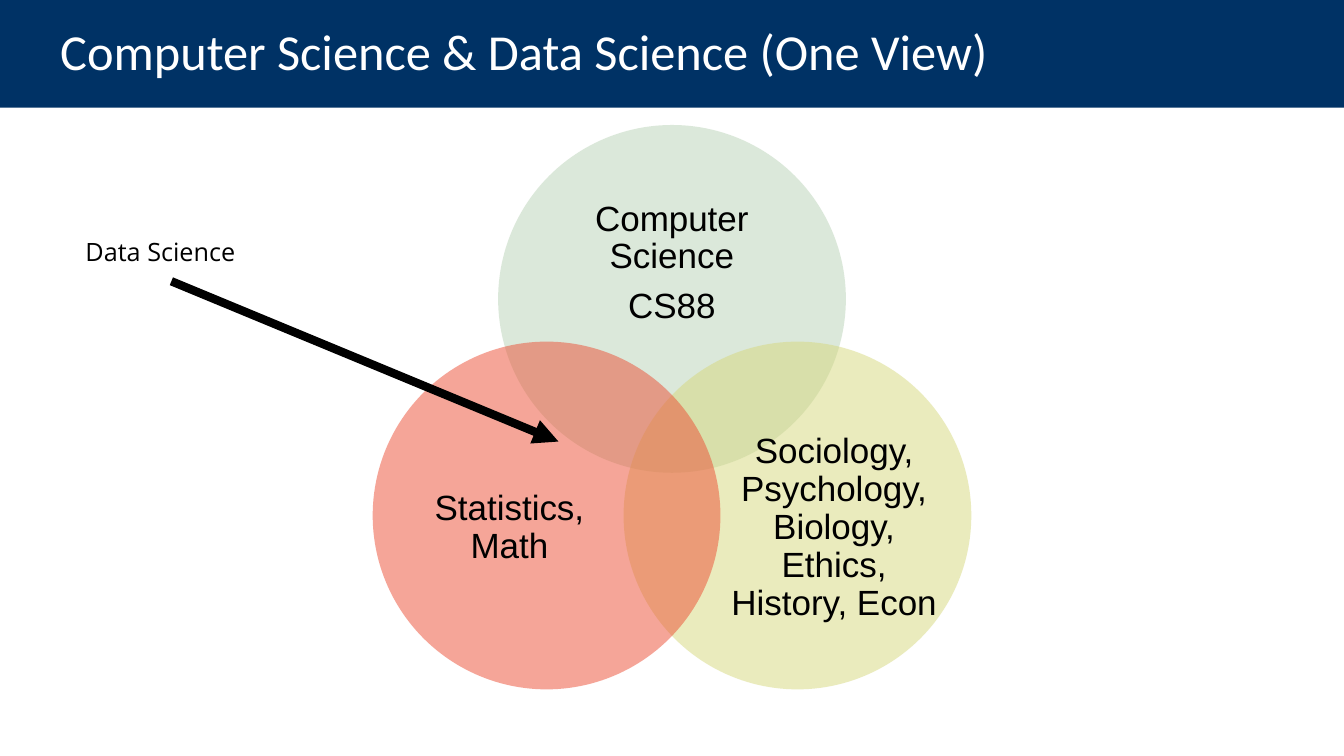
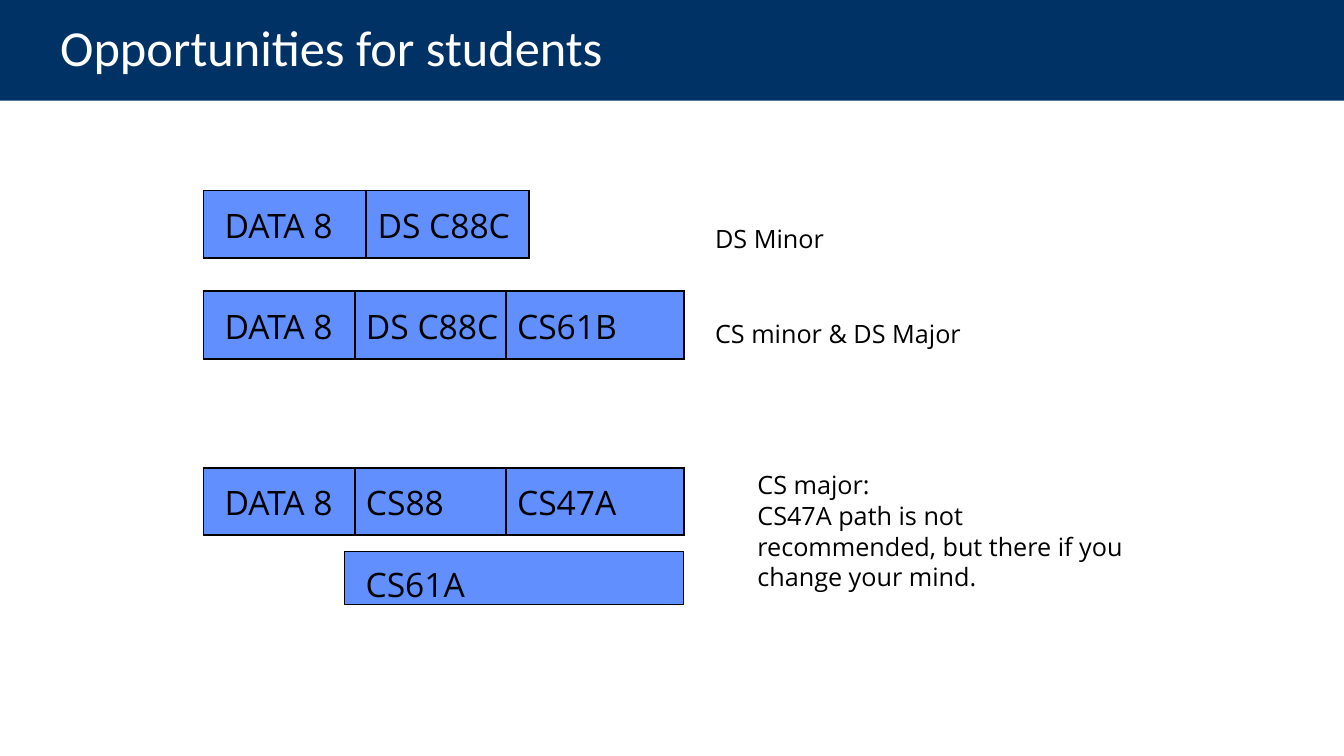
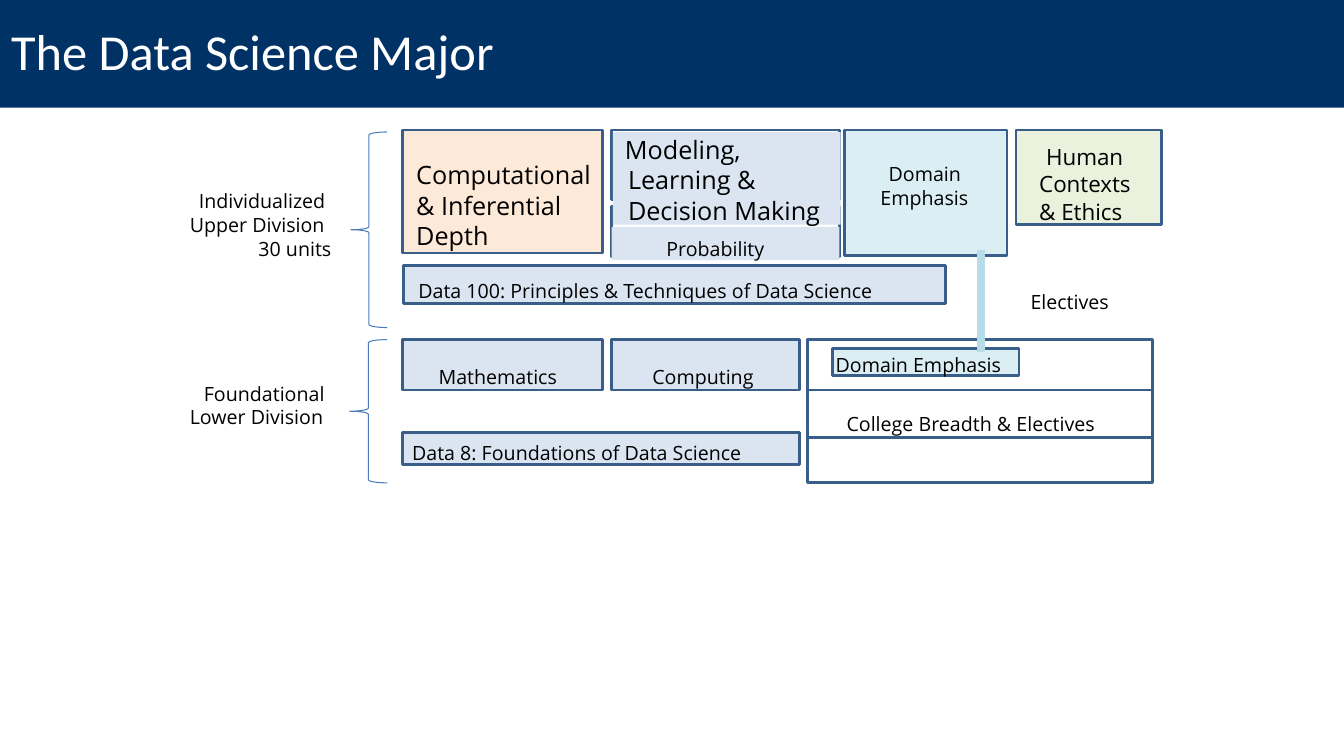
from dataclasses import dataclass

from lxml import etree
from pptx import Presentation
from pptx.dml.color import RGBColor
from pptx.enum.dml import MSO_LINE
from pptx.enum.shapes import MSO_CONNECTOR, MSO_SHAPE
from pptx.enum.text import MSO_ANCHOR, MSO_AUTO_SIZE, PP_ALIGN
from pptx.oxml.ns import qn
from pptx.util import Pt

RECTANGLE, OVAL, LEFT_BRACE = MSO_SHAPE.RECTANGLE, MSO_SHAPE.OVAL, MSO_SHAPE.LEFT_BRACE
STRAIGHT = MSO_CONNECTOR.STRAIGHT
SOLID = MSO_LINE.SOLID
TOP, MIDDLE = MSO_ANCHOR.TOP, MSO_ANCHOR.MIDDLE
LEFT, CENTER = PP_ALIGN.LEFT, PP_ALIGN.CENTER
GROW, FIXED = MSO_AUTO_SIZE.SHAPE_TO_FIT_TEXT, MSO_AUTO_SIZE.NONE


@dataclass(frozen=True)
class Theme:
    # Colours
    band: str = "003265"
    white: str = "FFFFFF"
    black: str = "000000"
    computing: str = "B9D3B6"
    society: str = "D6D87C"
    statistics: str = "EC4D33"
    course: str = "618FFD"
    outline: str = "395E89"
    brace: str = "4A7DBA"
    core: str = "DAE5F1"
    depth: str = "FDE9D8"
    domain: str = "DAEEF3"
    domain_link: str = "B6DDE7"
    ethics: str = "EAF1DD"
    # Fonts and type sizes
    title_font: str = "Calibri"
    body_font: str = "Open Sans"
    diagram_font: str = "Arial"
    title: float = 36
    diagram: float = 25
    course_name: float = 24
    body: float = 18
    medium: float = 16
    small: float = 14


THEME = Theme()
SLIDE_WIDTH, SLIDE_HEIGHT = 960, 540


def rgb(value):
    return RGBColor.from_string(value)


def points(values):
    return [Pt(value) for value in values]


def write_text(shape, paragraphs, size, insets=(0, 0, 0, 0), font=THEME.body_font,
               color=THEME.black, align=LEFT, anchor=TOP, spacing=None, before=0,
               first_indent=0, auto_size=GROW, wrap=True):
    """Write paragraphs; insets are left, top, right, bottom."""
    frame = shape.text_frame
    frame.word_wrap, frame.auto_size, frame.vertical_anchor = wrap, auto_size, anchor
    (frame.margin_left, frame.margin_top,
     frame.margin_right, frame.margin_bottom) = points(insets)
    for index, text in enumerate(paragraphs):
        paragraph = frame.paragraphs[0] if index == 0 else frame.add_paragraph()
        if index:
            paragraph.space_before = Pt(before)
        elif first_indent:
            set_indent(paragraph, max(0, -first_indent), first_indent)
        style_paragraph(paragraph, text, size, font, color, align, spacing)
    return frame


def set_indent(paragraph, margin, first_line):
    properties = paragraph._p.get_or_add_pPr()
    properties.set("marL", str(Pt(margin)))
    properties.set("indent", str(Pt(first_line)))


def style_paragraph(paragraph, text, size, font, color, align=LEFT, spacing=None):
    paragraph.text = text
    paragraph.alignment = align
    if spacing:
        paragraph.line_spacing = spacing
    paragraph.font.size = Pt(size)
    paragraph.font.name = font
    paragraph.font.color.rgb = rgb(color)


def add_figure(slide, kind, place, fill=None, line=None, width=2):
    shape = slide.shapes.add_shape(kind, *points(place))
    shape.shadow.inherit = False
    if fill:
        shape.fill.solid()
        shape.fill.fore_color.rgb = rgb(fill)
    else:
        shape.fill.background()
    if line:
        shape.line.color.rgb = rgb(line)
        shape.line.width = Pt(width)
    else:
        shape.line.fill.background()
    return shape


def add_box(slide, place, fill, text, size, insets, line=THEME.outline, width=2, **style):
    box = add_figure(slide, RECTANGLE, place, fill, line, width)
    write_text(box, [text], size, insets, **style)


def add_label(slide, place, paragraphs, size, insets=(1, 1, 0, 0), **style):
    label = slide.shapes.add_textbox(*points(place))
    return write_text(label, paragraphs, size, insets, **style)


def add_line(slide, start, end, color, arrow=False):
    connector = slide.shapes.add_connector(STRAIGHT, *points(start + end))
    connector.line.color.rgb = rgb(color)
    connector.line.width = Pt(6)
    connector.line.dash_style = SOLID
    if arrow:
        etree.SubElement(connector.line._get_or_add_ln(), qn("a:tailEnd"), type="triangle")
    etree.SubElement(connector._element.spPr, qn("a:effectLst"))


def add_circle(slide, center, radius, color):
    x, y = center
    circle = add_figure(slide, OVAL, (x - radius, y - radius, 2 * radius, 2 * radius), color)
    color_element = circle._element.spPr.find(qn("a:solidFill"))[0]
    etree.SubElement(color_element, qn("a:alpha"), val="50000")


def add_brace(slide, place):
    brace = add_figure(slide, LEFT_BRACE, place, line=THEME.brace, width=0.75)
    brace.adjustments[0] = 0.083


def border_cell(cell):
    properties = cell._tc.get_or_add_tcPr()
    for index, side in enumerate(("a:lnL", "a:lnR", "a:lnT", "a:lnB")):
        border = etree.Element(qn(side), w=str(Pt(1.5)))
        fill = etree.SubElement(border, qn("a:solidFill"))
        etree.SubElement(fill, qn("a:srgbClr"), val=THEME.black)
        properties.insert(index, border)


def add_course_row(slide, top, widths, courses):
    height = 48.2
    graphic = slide.shapes.add_table(1, len(courses),
                                     *points((145.4, top, sum(widths), height)))
    table = graphic.table
    table.first_row = table.horz_banding = False
    table.rows[0].height = Pt(height)
    for index, (width, course) in enumerate(zip(widths, courses)):
        table.columns[index].width = Pt(width)
        cell = table.cell(0, index)
        cell.fill.solid()
        cell.fill.fore_color.rgb = rgb(THEME.course)
        cell.margin_left = Pt(8 if index else 15)
        cell.margin_top, cell.margin_right, cell.margin_bottom = points((8.8, 0, 0))
        style_paragraph(cell.text_frame.paragraphs[0], course, THEME.course_name,
                        THEME.body_font, THEME.black)
        border_cell(cell)


def add_titled_slide(presentation, title, band_height=77, inset=43):
    slide = presentation.slides.add_slide(presentation.slide_layouts[6])
    band = add_figure(slide, RECTANGLE, (0, 0, SLIDE_WIDTH, band_height), THEME.band)
    write_text(band, [title], THEME.title, (inset, 3.6, 72, 3.6), THEME.title_font,
               THEME.white, anchor=MIDDLE, spacing=0.9, auto_size=FIXED)
    return slide


def build_venn(presentation):
    slide = add_titled_slide(presentation, "Computer Science & Data Science (One View)")
    # Overlapping fields: centre, colour, text area, text
    middle, spread, lower = SLIDE_WIDTH / 2, 89.6, 368.2
    fields = [
        ((middle, 213.5), THEME.computing, (388.8, 132.5, 182.2, 111.6),
         ["Computer Science", "CS88"]),
        ((middle + spread, lower), THEME.society, (521.3, 308.9, 149, 136.8),
         ["Sociology, Psychology, Biology, Ethics, History, Econ"]),
        ((middle - spread, lower), THEME.statistics, (289.4, 308.9, 149, 136.8),
         ["Statistics, Math"]),
    ]
    for center, color, place, paragraphs in fields:
        add_circle(slide, center, 124.2, color)
        add_label(slide, place, paragraphs, THEME.diagram, (0, 0, 0, 0),
                  font=THEME.diagram_font, align=CENTER, anchor=MIDDLE, spacing=0.9,
                  before=8.75, auto_size=FIXED)
    # Pointer to the shared area
    add_line(slide, (122.4, 200.9), (398.9, 315.4), THEME.black, arrow=True)
    add_label(slide, (54, 165, 122.4, 29), ["Data Science"], THEME.body,
              (7.2, 3.6, 7.2, 3.6), wrap=False)


def build_opportunities(presentation):
    slide = add_titled_slide(presentation, "Opportunities for students", band_height=72)
    # Course sequences
    three_courses = (108, 108, 127.4)
    add_course_row(slide, 136.1, (116.3, 116.3), ("DATA 8", "DS C88C"))
    add_course_row(slide, 208.1, three_courses, ("DATA 8", "DS C88C", "CS61B"))
    add_course_row(slide, 334.1, three_courses, ("DATA 8", "CS88", "CS47A"))
    add_box(slide, (246.2, 393.8, 242, 38.2), THEME.course, "CS61A", THEME.course_name,
            (15, 8.8, 0, 0), line=THEME.black, width=1)
    # Outcomes
    outcomes = [
        ((509.8, 158.4, 204.5, 23), ["DS Minor"]),
        ((509.8, 226.1, 204.5, 23), ["CS minor & DS Major"]),
        ((540, 334.1, 272.9, 89.3),
         ["CS major:",
          "CS47A path is not recommended, but there if you change your mind."]),
    ]
    for place, paragraphs in outcomes:
        add_label(slide, place, paragraphs, THEME.body, before=1)


def build_major(presentation):
    slide = add_titled_slide(presentation, "The Data Science Major", inset=8)
    first, second, third = 287.3, 437, 576.7
    upper, lower = 92.9, 242.6
    foundation_height, breadth_width = 102.3, 246.3

    # Open frames
    for place in [(second, 147.6, 162.5, 36), (second, upper, 162.5, 49.7),
                  (third, lower, breadth_width, foundation_height)]:
        add_figure(slide, RECTANGLE, place, line=THEME.outline)

    # Course areas: place, fill, text, size, insets
    areas = [
        ((first, lower, 143.3, 36), THEME.core, "Mathematics", THEME.small, (26, 19.4, 0, 0)),
        ((second, lower, 133.9, 36), THEME.core, "Computing", THEME.small, (29, 19.4, 0, 0)),
        ((first, 308.9, 283.7, 23), THEME.core, "Data 8: Foundations of Data Science",
         THEME.small, (7.2, 5.8, 0, 0)),
        ((288, 189.4, 387.4, 27.4), THEME.core,
         "Data 100: Principles & Techniques of Data Science", THEME.small, (10.8, 10, 0, 0)),
        ((third, 278.6, breadth_width, 33.8), None, "College Breadth & Electives",
         THEME.small, (28, 16, 0, 0)),
        ((594.7, 249.1, 133.2, 19.4), THEME.domain, "Domain Emphasis", THEME.small,
         (2.2, 2.9, 0, 0)),
    ]
    for area in areas:
        add_box(slide, *area)

    # Upper division areas, some with a shifted first line
    add_box(slide, (first, upper, 143.3, 87.8), THEME.depth,
            "Computational & Inferential Depth", THEME.body, (10, 21, 0, 0), spacing=1.01)
    add_box(slide, (603.4, upper, 115.9, 89.4), THEME.domain, "Domain Emphasis",
            THEME.small, (25.5, 23, 0, 0), spacing=1.01, first_indent=5.8)
    add_box(slide, (725.8, upper, 103.7, 67.7), THEME.ethics, "Human Contexts & Ethics",
            THEME.medium, (16.5, 9.4, 14, 0), spacing=1.01, first_indent=5)
    add_box(slide, (second, 162, 162.7, 23.8), THEME.core, "Probability", THEME.small,
            (39, 7.2, 0, 0), line=None)
    add_box(slide, (437.8, 94.3, 162.7, 66.2), THEME.core,
            "Modeling, Learning & Decision Making", THEME.body, (8.6, 1.4, 0, 0),
            line=None, spacing=1.01, first_indent=-2.2)

    # Division labels and braces
    individualized = add_label(slide, (134.6, 133.9, 109.4, 51.8),
                               ["Individualized Upper Division", "30 units"], THEME.small,
                               spacing=1.01, first_indent=6.5)
    set_indent(individualized.paragraphs[1], 49, 0)
    add_label(slide, (134.6, 271.4, 108.7, 34.6), ["Foundational Lower Division"],
              THEME.small, spacing=1.01, first_indent=10)
    add_label(slide, (735.1, 205.9, 85.7, 18), ["Electives"], THEME.small)
    add_brace(slide, (250.6, 94.3, 25.9, 139.7))
    add_brace(slide, (249.8, lower, 26.7, foundation_height))

    # Link between the two domain areas
    add_line(slide, (700.6, 178.6), (700.6, 251.3), THEME.domain_link)


def main():
    presentation = Presentation()
    presentation.slide_width, presentation.slide_height = points((SLIDE_WIDTH, SLIDE_HEIGHT))
    build_venn(presentation)
    build_opportunities(presentation)
    build_major(presentation)
    presentation.save("out.pptx")


if __name__ == "__main__":
    main()
